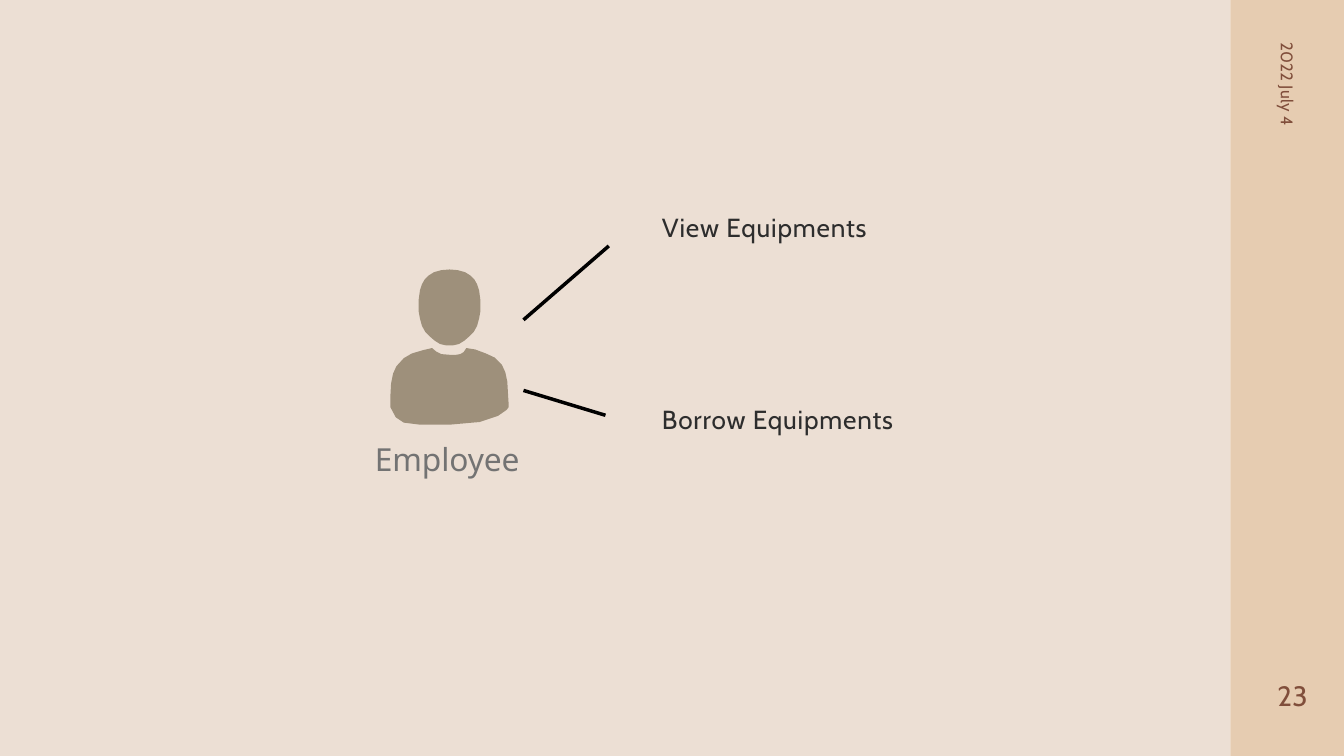
from pptx import Presentation
from pptx.dml.color import RGBColor as RGB
from pptx.enum.shapes import MSO_CONNECTOR as CON, MSO_SHAPE as SHAPE
from pptx.oxml.ns import qn
from pptx.util import Inches, Pt
from lxml.etree import SubElement as add_el

WIDE, HIGH, SPLIT = 20, 11.25, 18.31
HEAD = [(0.12, 0.01), (0.23, 0.04), (0.31, 0.09), (0.37, 0.15), (0.41, 0.22),
        (0.44, 0.31), (0.46, 0.46), (0.46, 0.62), (0.44, 0.73), (0.41, 0.84),
        (0.36, 0.93), (0.29, 1), (0.22, 1.06), (0.14, 1.11), (0.05, 1.13)]
BODY = [(1.76, 2.01), (1.75, 1.84), (1.74, 1.67), (1.71, 1.53), (1.66, 1.42),
        (1.55, 1.31), (1.42, 1.25), (1.26, 1.19), (1.13, 1.17), (1.09, 1.23),
        (1.04, 1.26), (0.98, 1.27), (0.88, 1.27), (0.76, 1.26), (0.68, 1.22),
        (0.62, 1.17), (0.49, 1.2), (0.32, 1.25), (0.2, 1.32), (0.09, 1.44),
        (0.04, 1.55), (0.01, 1.7), (0, 1.88), (0, 2.05), (0.08, 2.2),
        (0.2, 2.28), (0.44, 2.31), (0.88, 2.31), (1.33, 2.27), (1.6, 2.18),
        (1.73, 2.09), (1.76, 2.05)]


def hue(code):
    return RGB.from_string(code)


def paint(shape, code):
    shape.shadow.inherit = False
    shape.fill.solid()
    shape.fill.fore_color.rgb = hue(code)
    shape.line.fill.background()


def block(slide, box, code):
    paint(slide.shapes.add_shape(SHAPE.RECTANGLE, *map(Inches, box)), code)


def label(slide, box, text, size, code, face="Cabin", gap=30, lead=None, turn=False):
    frame = slide.shapes.add_textbox(*map(Inches, box)).text_frame
    inset = 0 if turn else 0.01
    form = {"margin_left": 0, "margin_right": 0, "margin_bottom": 0,
            "margin_top": Inches(inset), "word_wrap": True}
    for key, value in form.items():
        setattr(frame, key, value)
    if turn:
        frame._txBody.bodyPr.set("vert", "vert")
    para = frame.paragraphs[0]
    para.space_before = Pt(0 if turn else 1)
    if lead:
        para.line_spacing = Pt(lead)
    run = para.add_run()
    run.text = text
    for key, value in {"name": face, "size": Pt(size)}.items():
        setattr(run.font, key, value)
    run.font.color.rgb = hue(code)
    run._r.get_or_add_rPr().set("spc", str(gap))


def person(slide, box):
    left, top, width, _ = box
    mid = width / 2
    right = [(mid + x, y) for x, y in HEAD]
    mirror = [(mid - x, y) for x, y in reversed(HEAD)]
    head, body = ([(Inches(left + x), Inches(top + y)) for x, y in part]
                  for part in ([(mid, 0)] + right + mirror, BODY))
    pen = slide.shapes.build_freeform(*head[0], scale=1)
    pen.add_line_segments(head[1:], close=True)
    pen.move_to(*body[0])
    pen.add_line_segments(body[1:], close=True)
    paint(pen.convert_to_shape(), "9E907B")


def link(slide, ends):
    line = slide.shapes.add_connector(CON.STRAIGHT, *map(Inches, ends))
    line.line.color.rgb = hue("000000")
    line.line.width = Pt(3.75)
    add_el(line._element.spPr, qn("a:effectLst"))


def actor(slide, box):
    left, top, _, high = box
    person(slide, box)
    label(slide, (left - 0.23, top + high + 0.21, 2.2, 0.59), "Employee",
          34, "737373", "Noto Sans", -10)


def cases(slide, box):
    left, top, width, high = box
    rows = [("View Equipments", 0, (7.79, 4.76, 9.06, 3.66)),
            ("Borrow Equipments", high - 0.49, (7.79, 5.81, 9.01, 6.18))]
    for text, drop, ends in rows:
        label(slide, (left, top + drop, width, 0.49), text, 28, "2D2D2D", gap=90)
        link(slide, ends)


def side(slide, box):
    left, top, _, high = box
    block(slide, box, "E6CCB1")
    label(slide, (left + 0.7, top + high - 1.16, 0.49, 0.52), "23", 30, "804E3B")
    label(slide, (left + 0.68, top + 0.63, 0.32, 1.31), "2022 July 4",
          18, "804E3B", lead=21.5, turn=True)


def main():
    deck = Presentation()
    deck.slide_width, deck.slide_height = Inches(WIDE), Inches(HIGH)
    slide = deck.slides.add_slide(deck.slide_layouts[6])
    block(slide, (0, 0, SPLIT, HIGH), "ECDFD4")
    side(slide, (SPLIT, 0, WIDE - SPLIT, HIGH))
    actor(slide, (5.81, 4.01, 1.76, 2.31))
    cases(slide, (9.85, 3.14, 3.6, 3.34))
    deck.save("out.pptx")


if __name__ == "__main__":
    main()
